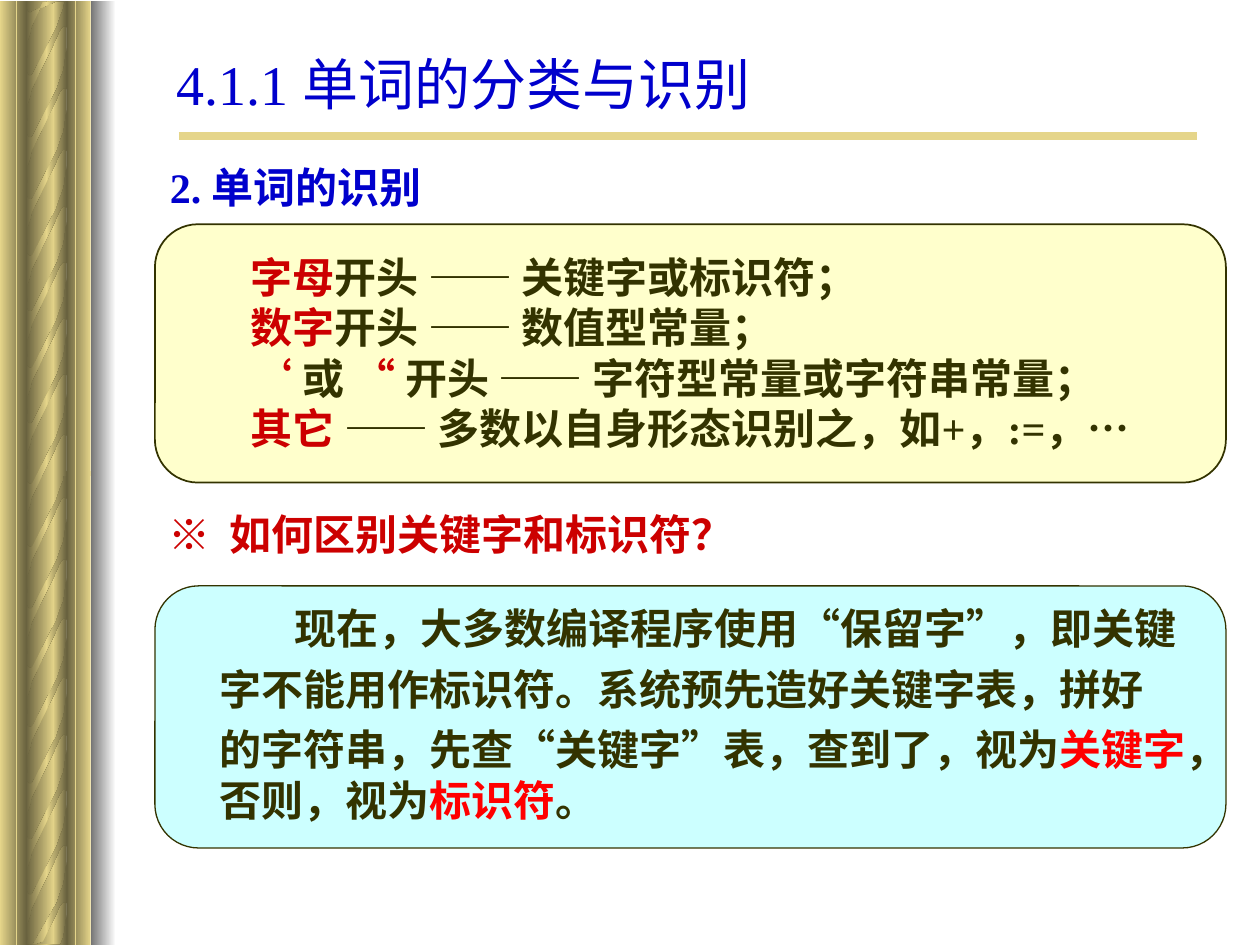
"""Build the slide on classifying and recognising tokens, with a gilded rope border."""
from copy import deepcopy

from lxml import etree
from pptx import Presentation
from pptx.dml.color import RGBColor
from pptx.enum import shapes, text
from pptx.oxml import ns
from pptx.util import Inches, Pt

GOLD = RGBColor(0xE5, 0xD5, 0x8A)
BRONZE = RGBColor(0x69, 0x62, 0x3F)
GREY = RGBColor(0x75, 0x75, 0x75)
WHITE = RGBColor(0xFF, 0xFF, 0xFF)
CYAN = RGBColor(0xCC, 0xFF, 0xFF)
CREAM = RGBColor(0xFF, 0xFF, 0xCC)
OLIVE = RGBColor(0x33, 0x33, 0x00)
BLUE = RGBColor(0x00, 0x00, 0xCC)
CRIMSON = RGBColor(0xCC, 0x00, 0x00)
RED = RGBColor(0xFF, 0x00, 0x00)

deck = Presentation()
deck.slide_width, deck.slide_height = Inches(10), Inches(7.5)
page = deck.slides.add_slide(deck.slide_layouts[6])


def shade(shape, colours):
    shape.shadow.inherit = False
    shape.line.fill.background()
    shape.fill.gradient()
    shape.fill.gradient_angle = 180
    stops = shape._element.spPr.find(".//" + ns.qn("a:gsLst"))
    while len(stops) < len(colours):
        stops.append(deepcopy(stops[-1]))
    for index, (stop, colour) in enumerate(zip(shape.fill.gradient_stops, colours)):
        stop.position = index / (len(colours) - 1)
        stop.color.rgb = colour


def write(place, paragraphs, size=24, before=0, margin=0.5, anchor=text.MSO_ANCHOR.TOP):
    box = page.shapes.add_textbox(*map(Inches, place))
    frame = box.text_frame
    frame.word_wrap = True
    frame.vertical_anchor = anchor
    for index, (indent, runs) in enumerate(paragraphs):
        para = frame.paragraphs[0] if index == 0 else frame.add_paragraph()
        para.space_before = Pt(before)
        properties = para._p.get_or_add_pPr()
        properties.set("marL", str(Inches(margin)))
        properties.set("indent", str(Inches(indent)))
        for words, colour, bold in runs:
            span = para.add_run()
            span.text = words
            span.font.name = "Times New Roman"
            span.font.size = Pt(size)
            span.font.bold = bold
            span.font.color.rgb = colour
    return box


columns = [(0.42, 0.11, (BRONZE, GOLD)), (0, 0.21, (BRONZE, GOLD)),
           (0.21, 0.22, (GOLD, BRONZE)), (0.53, 0.19, (GOLD, BRONZE))]
strand = [(0.53, 0.09), (0.53, 0.33), (0.52, 0.32), (0.5, 0.32), (0.49, 0.33),
          (0.47, 0.36), (0.43, 0.45), (0.34, 0.63), (0.25, 0.82), (0.24, 0.87),
          (0.22, 0.93), (0.22, 1.01), (0.21, 1.12), (0.21, 0.63), (0.21, 0.68),
          (0.22, 0.7), (0.23, 0.71), (0.24, 0.71), (0.25, 0.71), (0.26, 0.7),
          (0.45, 0.33), (0.48, 0.24), (0.5, 0.19), (0.51, 0.14), (0.52, 0.06),
          (0.53, 0), (0.53, 0.2)]
halves = [(3.74, 3.76, [4.59, 5.06, 5.51, 5.95, 6.39, 6.84, 4.12, 3.63]),
          (0.01, 3.77, [0.87, 1.32, 1.76, 2.21, 2.65, 7.26, 0.38, -0.11, -0.61, 3.13])]
for top, height, strand_tops in halves:
    for left, width, colours in columns:
        column = page.shapes.add_shape(shapes.MSO_SHAPE.RECTANGLE, Inches(left), Inches(top),
                                       Inches(width), Inches(height))
        shade(column, colours)
    for strand_top in strand_tops:
        outline = [(Inches(x), Inches(min(max(strand_top + y, top if strand_top < top else 0), 7.5)))
                   for x, y in strand]
        builder = page.shapes.build_freeform(*outline[0])
        builder.add_line_segments(outline[1:])
        shade(builder.convert_to_shape(), (BRONZE, GOLD, BRONZE))

edge = page.shapes.add_shape(shapes.MSO_SHAPE.RECTANGLE, Inches(0.72), Inches(0.01),
                             Inches(0.2), Inches(7.49))
shade(edge, (WHITE, GREY))

for x1, y1, x2, y2, weight in [(0.13, 0.01, 0.13, 7.5, 1), (0.6, 0.01, 0.6, 7.5, 1),
                               (1.42, 1.08, 9.5, 1.08, 4.5)]:
    rule = page.shapes.add_connector(shapes.MSO_CONNECTOR.STRAIGHT, Inches(x1), Inches(y1),
                                     Inches(x2), Inches(y2))
    rule.line.color.rgb = GOLD
    rule.line.width = Pt(weight)
    etree.SubElement(rule._element.spPr, ns.qn("a:effectLst"))

for top, height, colour, weight in [(4.65, 2.08, CYAN, 0.75), (1.78, 2.05, CREAM, 1)]:
    panel = page.shapes.add_shape(shapes.MSO_SHAPE.ROUNDED_RECTANGLE, Inches(1.23), Inches(top),
                                  Inches(8.5), Inches(height))
    panel.shadow.inherit = False
    panel.fill.solid()
    panel.fill.fore_color.rgb = colour
    panel.line.color.rgb = OLIVE
    panel.line.width = Pt(weight)

write((0.75, 1.23, 8.15, 0.58), [(-0.31, [("2. 单词的识别", BLUE, True)])],
      before=6, margin=0.81)
write((1.39, 1.94, 8.25, 1.71), [
    (0, [("字母", CRIMSON, True), ("开头 —— 关键字或标识符；", OLIVE, True)]),
    (0, [("数字", CRIMSON, True), ("开头 —— 数值型常量；", OLIVE, True)]),
    (0, [("‘ ", CRIMSON, True), ("或 ", OLIVE, True), ("“ ", CRIMSON, True),
         ("开头 —— 字符型常量或字符串常量；", OLIVE, True)]),
    (0, [("其它 ", CRIMSON, True), ("—— 多数以自身形态识别之，如+，:=，…", OLIVE, True)]),
], anchor=text.MSO_ANCHOR.MIDDLE)
write((0.74, 3.99, 8.75, 0.5),
      [(0, [("※  ", CRIMSON, False), ("如何区别关键字和标识符？", CRIMSON, True)])], before=6)
write((1.14, 4.73, 8.58, 1.87), [
    (0.6, [("现在，大多数编译程序使用“保留字”，即关键", OLIVE, True)]),
    (0, [("字不能用作标识符。系统预先造好关键字表，拼好", OLIVE, True)]),
    (0, [("的字符串，先查“关键字”表，查到了，视为", OLIVE, True), ("关键字", RED, True),
         ("，否则，视为", OLIVE, True), ("标识符", RED, True), ("。", OLIVE, True)]),
], before=6)
title = write((1.3, 0.44, 7.19, 0.44), [(0, [("4.1.1 单词的分类与识别", BLUE, False)])],
              size=32, margin=0, anchor=text.MSO_ANCHOR.MIDDLE)
title.fill.solid()
title.fill.fore_color.rgb = WHITE

deck.save("out.pptx")
